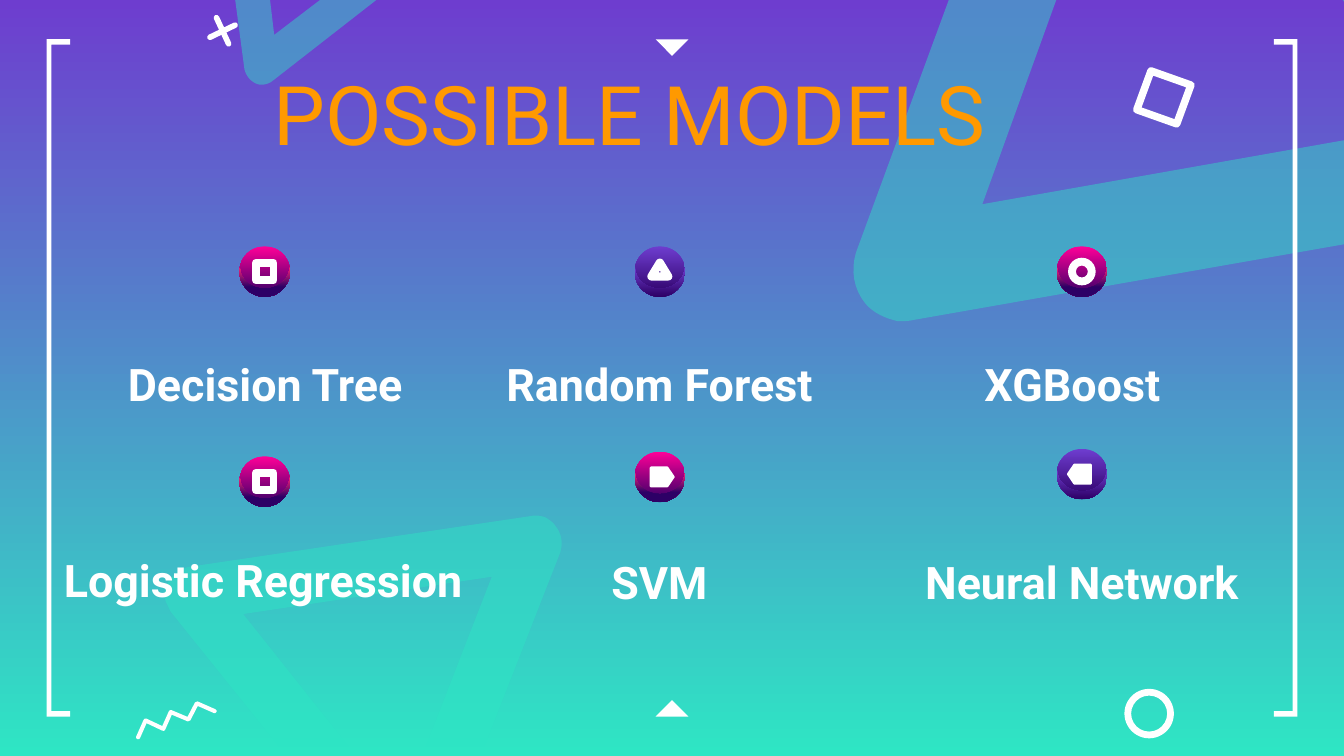
from math import cos, radians, sin

from lxml.etree import SubElement
from pptx import Presentation
from pptx.dml.color import RGBColor
from pptx.enum.shapes import MSO_SHAPE
from pptx.enum.text import MSO_ANCHOR, MSO_AUTO_SIZE, PP_ALIGN
from pptx.oxml.ns import qn
from pptx.util import Pt

WIDTH, HEIGHT = 720, 405
FONT = "Roboto"
COLORS = {"purple": "6E3DCF", "mint": "2EE6C4", "white": "FFFFFF", "orange": "FF9900",
          "pink": "FF0098", "rose": "F42579", "indigo": "2D0066"}

# Content: name, label box (left, top, width, height, top inset), badge centre, badge colours, icon
TITLE = "POSSIBLE MODELS "
PINK, PURPLE = ("pink", "rose"), ("purple", "purple")
MODELS = [
    ("Decision Tree", (57, 178, 170, 49, 13), (141.8, 145.5), PINK, "square"),
    ("Random Forest", (261.5, 178, 183.5, 49, 13), (353.5, 145.5), PURPLE, "triangle"),
    ("XGBoost", (489.5, 178, 170, 49, 13), (579.6, 145.5), PINK, "ring"),
    ("Logistic Regression", (23, 289, 236, 44, 7.2), (141.8, 258), PINK, "square"),
    ("SVM", (261.5, 284, 183.5, 49, 13), (353.5, 255.5), PINK, "tag"),
    ("Neural Network", (477.5, 284, 204, 60, 13), (579.6, 254), PURPLE, "back tag"),
]

# Icons around the badge centre: points, stroke width, filled
TAG = [(-4.8, -5), (4, -5), (7.4, 0), (4, 5), (-4.8, 5)]
ICONS = {
    "square": ([(-4.7, -4.7), (4.7, -4.7), (4.7, 4.7), (-4.7, 4.7)], 4.2, False),
    "triangle": ([(0, -4.8), (4.5, 2.6), (-4.5, 2.6)], 4.4, False),
    "tag": (TAG, 1.2, True),
    "back tag": ([(-x, y) for x, y in TAG], 1.2, True),
}

# Translucent bands: contours of points; a six-number entry is a cubic curve
BANDS = [
    [[(263.5, 309), (130.3, 329), (214.6, 435)],
     [(292.3, 277.2), (294.5, 278.6, 296.6, 280.1, 297.4, 281.5),
      (301, 285.8, 301.7, 290.9, 300.2, 295.9), (232.6, 468.7),
      (231.1, 470.9, 229.7, 472.9, 228.2, 474.5), (197.3, 459.4), (91.4, 327.6),
      (90.7, 326.2, 90, 324.7, 89.3, 323.3), (87.8, 320.4, 87.8, 316.8, 89.3, 313.2),
      (92.2, 308.2, 96.5, 304.6, 100.8, 303.8), (284.4, 276.5),
      (287.3, 275.8, 290.2, 276.5, 292.3, 277.2)]],
    [[(790.6, 0), (817.2, 31.7), (817.2, 113.8), (489.6, 171.4),
      (486.7, 172.1, 483.8, 172.1, 481, 172.1), (474.5, 170.6, 468, 167.8, 463.7, 162.7),
      (457.2, 154.8, 455.8, 144.7, 458.6, 135.4), (508.3, 0), (565.9, 0),
      (526.3, 109.4), (774.7, 65.5), (719.3, 0)]],
    [[(201.6, 0), (146.2, 43.2), (143.5, 45.5, 139.5, 46, 136.8, 44.6),
      (133.9, 43.2, 131.8, 40.3, 131, 37.4), (126, 0), (144.7, 0),
      (146.9, 18.7), (171.4, 0)]],
]

# White ornaments
BRACKET = [(25, 21), (25, 384), (37.5, 384), (37.5, 381), (27.5, 381),
           (27.5, 24), (37.5, 24), (37.5, 21)]
CROSS = [[(116, 9.5), (122.5, 23.5)], [(112.5, 20), (126, 13.5)]]
ZIGZAG = [(74, 395), (78, 386), (87.5, 390.5), (91.5, 381.5), (101, 385.5),
          (105.5, 376.8), (115, 381)]
TILTED_SQUARE = [(616.6, 38), (638, 45.6), (630.4, 66.4), (609, 58.8)]


def rgb(name):
    return RGBColor.from_string(COLORS[name])


def fill_gradient(fill, start, end, end_position=1):
    fill.gradient()
    fill.gradient_angle = 270
    for stop, name, position in zip(fill.gradient_stops, (start, end), (0, end_position)):
        stop.color.rgb = rgb(name)
        stop.position = position


def fill_plain(shape, name="white"):
    shape.shadow.inherit = False
    shape.line.fill.background()
    shape.fill.solid()
    shape.fill.fore_color.rgb = rgb(name)


def flatten(contour, steps=8):
    points = []
    for entry in contour:
        if len(entry) == 2:
            points.append(entry)
            continue
        curve = [points[-1], entry[:2], entry[2:4], entry[4:]]
        for t in (i / steps for i in range(1, steps + 1)):
            weights = ((1 - t) ** 3, 3 * t * (1 - t) ** 2, 3 * t * t * (1 - t), t ** 3)
            points.append(tuple(sum(w * p[axis] for w, p in zip(weights, curve))
                                for axis in (0, 1)))
    return points


def draw_outline(shapes, contours, closed=True):
    pen = None
    for contour in contours:
        points = [(x * 100, y * 100) for x, y in flatten(contour)]
        if pen is None:
            pen = shapes.build_freeform(*points[0], scale=Pt(1) / 100)
        else:
            pen.move_to(*points[0])
        pen.add_line_segments(points[1:], close=closed)
    outline = pen.convert_to_shape()
    fill_plain(outline)
    return outline


def draw_stroke(shapes, contours, width, closed=True, filled=False):
    stroke = draw_outline(shapes, contours, closed)
    if not filled:
        stroke.fill.background()
    stroke.line.color.rgb = rgb("white")
    stroke.line.width = Pt(width)
    line = stroke.line._get_or_add_ln()
    line.set("cap", "rnd")
    SubElement(line, qn("a:round"))


def draw_preset(shapes, kind, center, width, height):
    x, y = center
    preset = shapes.add_shape(kind, Pt(x - width / 2), Pt(y - height / 2), Pt(width), Pt(height))
    fill_plain(preset)
    return preset


def draw_ring(shapes, center, size, thickness):
    ring = draw_preset(shapes, MSO_SHAPE.DONUT, center, size, size)
    ring.adjustments[0] = thickness / size


def draw_badge(shapes, center, colors, icon):
    x, y = center
    radius = 13.5
    disc = draw_preset(shapes, MSO_SHAPE.OVAL, center, 2 * radius, 2 * radius)
    fill_gradient(disc.fill, colors[0], "indigo")
    # Shaded rim: lower arc of the disc closed by a shallower arc
    rim = [(x + radius * cos(radians(a)), y + radius * sin(radians(a)))
           for a in range(-10, 191, 10)]
    rim += [(x + 13.3 * cos(radians(a)), y - 2.3 + 11.5 * sin(radians(a)))
            for a in range(180, -1, -10)]
    fill_gradient(draw_outline(shapes, [rim]).fill, colors[1], "indigo",
                  0.67 if colors == PINK else 1)
    if icon == "ring":
        draw_ring(shapes, center, 14.8, 4.2)
    else:
        points, width, filled = ICONS[icon]
        draw_stroke(shapes, [[(x + dx, y + dy) for dx, dy in points]], width, filled=filled)


def write(box, text, size, color, top_inset, anchor, bold=False):
    frame = box.text_frame
    frame.word_wrap = True
    frame.auto_size = MSO_AUTO_SIZE.NONE
    frame.vertical_anchor = anchor
    frame.margin_left = frame.margin_right = Pt(7.2)
    frame.margin_top, frame.margin_bottom = Pt(top_inset), Pt(0)
    paragraph = frame.paragraphs[0]
    paragraph.text = text
    paragraph.alignment = PP_ALIGN.CENTER
    paragraph.font.name, paragraph.font.size = FONT, Pt(size)
    paragraph.font.bold = bold
    paragraph.font.color.rgb = rgb(color)


def main():
    deck = Presentation()
    deck.slide_width, deck.slide_height = Pt(WIDTH), Pt(HEIGHT)
    slide = deck.slides.add_slide(deck.slide_layouts[5])
    shapes = slide.shapes
    fill_gradient(slide.background.fill, "purple", "mint")

    # Background bands
    for contours in BANDS:
        band = draw_outline(shapes, contours)
        fill_plain(band, "mint")
        color = band.fill._xPr.find(qn("a:solidFill"))[0]
        SubElement(color, qn("a:alpha"), val="45000")

    # Frame and ornaments
    for y, rotation in ((25.5, 180), (379.5, 0)):
        draw_preset(shapes, MSO_SHAPE.ISOSCELES_TRIANGLE, (WIDTH / 2, y), 17.5, 8.8).rotation = rotation
    draw_outline(shapes, [BRACKET])
    draw_outline(shapes, [[(WIDTH - x, y) for x, y in BRACKET]])
    draw_stroke(shapes, [TILTED_SQUARE], 4)
    draw_stroke(shapes, CROSS, 3, closed=False)
    draw_stroke(shapes, [ZIGZAG], 2.2, closed=False)
    draw_ring(shapes, (615.6, 382.3), 26.5, 3.6)

    # Title, brought in front of the bands
    title = shapes.title
    title.left, title.top, title.width, title.height = Pt(57), Pt(27.5), Pt(572), Pt(65.5)
    write(title, TITLE, 44, "orange", 0, MSO_ANCHOR.MIDDLE)
    title.element.getparent().append(title.element)

    # Models
    for name, (left, top, width, height, inset), center, colors, icon in MODELS:
        label = shapes.add_textbox(Pt(left), Pt(top), Pt(width), Pt(height))
        write(label, name, 24, "white", inset, MSO_ANCHOR.TOP, bold=True)
        draw_badge(shapes, center, colors, icon)

    deck.save("out.pptx")


if __name__ == "__main__":
    main()
